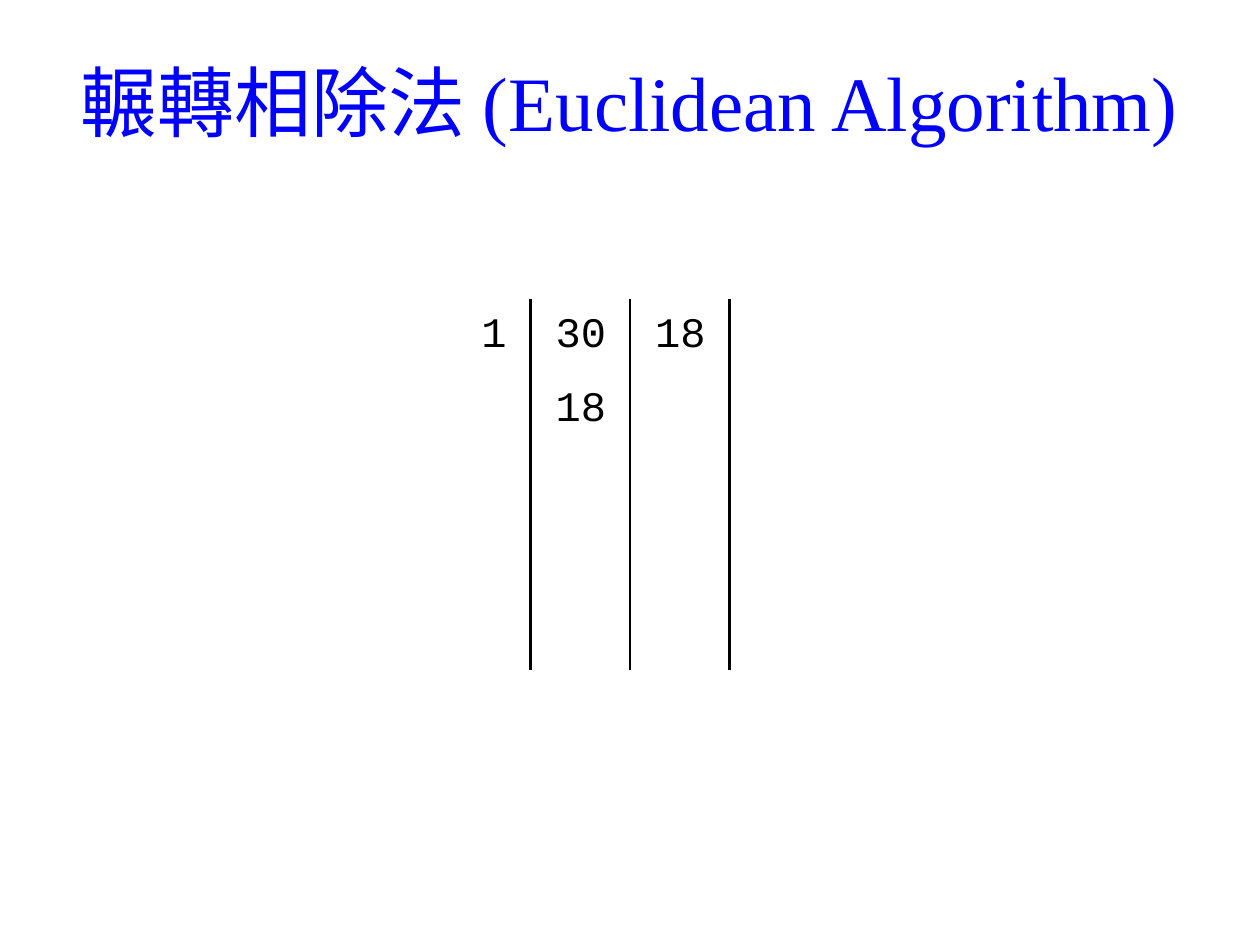
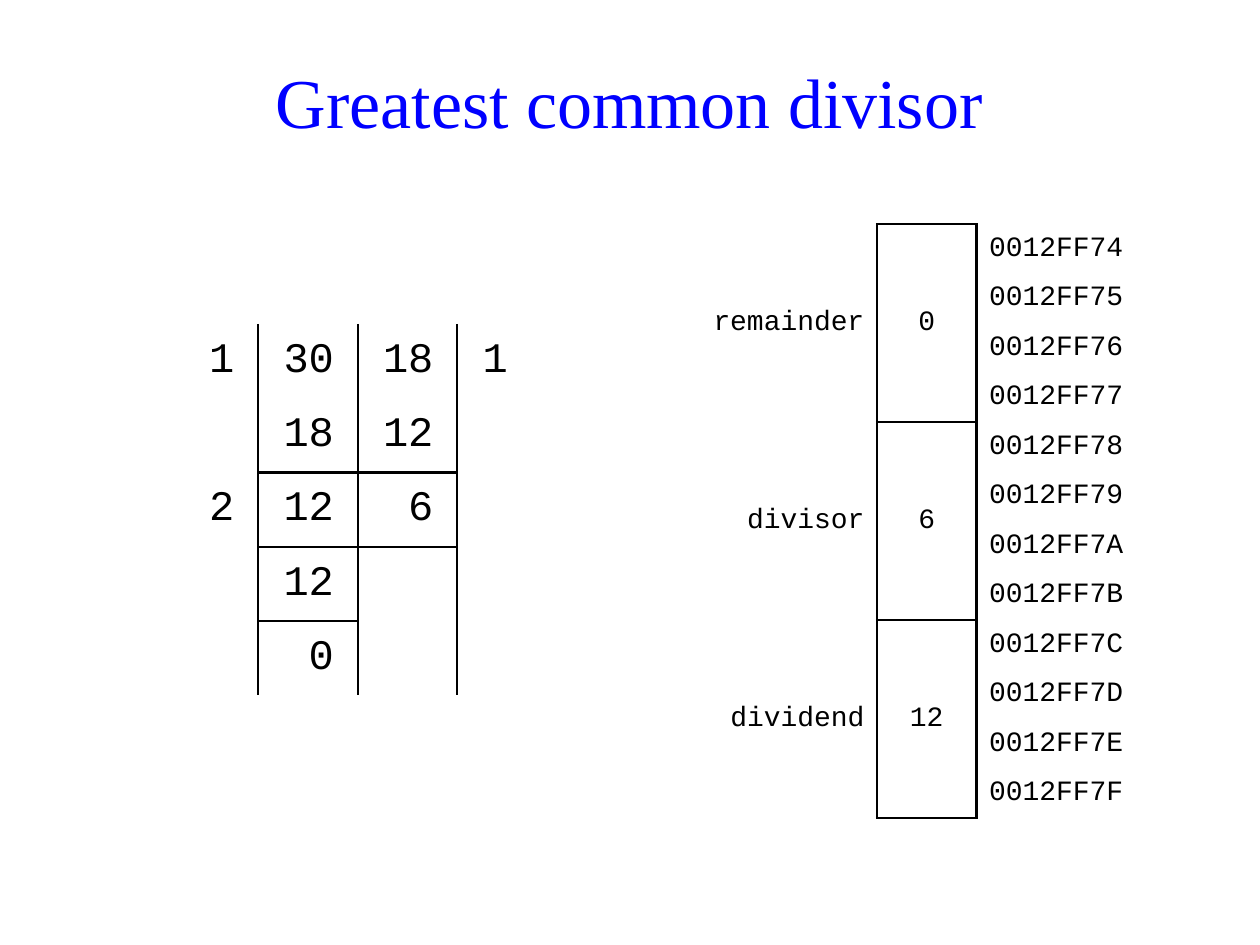
from itertools import product

from lxml.etree import SubElement
from pptx import Presentation
from pptx.dml.color import RGBColor
from pptx.enum.text import MSO_ANCHOR, PP_ALIGN
from pptx.oxml.ns import qn
from pptx.util import Inches, Pt

BLUE, BLACK = "0000FF", "000000"
SERIF, MONO, CJK = "Times New Roman", "Courier New", "Noto Sans CJK SC"
NO_STYLE = "{2D5ABB26-0587-4C30-8999-92F81FD0307C}"
NARROW, WIDE = 0.59, 0.79
STEP_H, BYTE_H = 0.59, 0.3927
INT_BYTES = 4
FIRST_ADDRESS = 0x0012FF74


def rgb(value):
    """Turn a hex string into a colour."""
    return RGBColor.from_string(value)


def add_run(p, text, size, font, color):
    """Add one run with its font set for Latin and East Asian text."""
    r = p.add_run()
    r.text = text
    r.font.size = Pt(size)
    r.font.name = font
    r.font.color.rgb = rgb(color)
    if font == CJK:
        SubElement(r.font._element, qn("a:ea"), typeface=font)


def add_title(s, size, *parts):
    """Add the centred blue title from (text, font) parts."""
    tf = s.shapes.add_textbox(Inches(0.27), Inches(0.21), Inches(9.45), Inches(1.18)).text_frame
    tf.word_wrap = True
    tf.vertical_anchor = MSO_ANCHOR.MIDDLE
    p = tf.paragraphs[0]
    p.alignment = PP_ALIGN.CENTER
    for text, font in parts:
        add_run(p, text, size, font, BLUE)


def add_grid(s, left, top, widths, rows, row_height):
    """Add an unstyled table with the given column widths and equal rows."""
    shape = s.shapes.add_table(rows, len(widths), Inches(left), Inches(top),
                               Inches(sum(widths)), Inches(rows * row_height))
    table = shape.table
    table.first_row = table.horz_banding = False
    table._tbl.tblPr.find(qn("a:tableStyleId")).text = NO_STYLE
    for column, width in zip(table.columns, widths):
        column.width = Inches(width)
    for row in table.rows:
        row.height = Inches(row_height)
    for cell in table.iter_cells():
        cell.margin_top = cell.margin_bottom = Inches(0.02)
        cell.vertical_anchor = MSO_ANCHOR.MIDDLE
    return table


def set_borders(cell, widths):
    """Draw the borders given as side to width in points, and clear the fill."""
    tc_pr = cell._tc.get_or_add_tcPr()
    for side in "LRTB":
        if side in widths:
            ln = SubElement(tc_pr, qn(f"a:ln{side}"), w=str(Pt(widths[side])))
            SubElement(SubElement(ln, qn("a:solidFill")), qn("a:srgbClr"), val=BLACK)
    cell.fill.background()


def fill_cell(cell, text, size, align):
    """Write monospaced text in a cell."""
    p = cell.text_frame.paragraphs[0]
    p.alignment = align
    add_run(p, text, size, MONO, BLACK)


def add_division(s, left, top, steps, underlined=()):
    """Add a division ladder; underlined lists (row, column) cells above a rule."""
    widths = (NARROW, WIDE, WIDE, NARROW)
    table = add_grid(s, left, top, widths, 5, STEP_H)
    sides = ("R", "LR", "LR", "L")
    for row, col in product(range(5), range(4)):
        cell = table.cell(row, col)
        cell.margin_right = Inches(0.19)
        edges = sides[col]
        edges += "B" if (row, col) in underlined else ""
        edges += "T" if (row - 1, col) in underlined else ""
        set_borders(cell, dict.fromkeys(edges, 1.5))
    for row, values in enumerate(steps):
        for col, value in enumerate(values):
            if value:
                fill_cell(table.cell(row, col), value, 24, PP_ALIGN.RIGHT)


def add_memory(s, left, top, variables):
    """Add a memory map of integer variables given as (name, value)."""
    rows = INT_BYTES * len(variables)
    table = add_grid(s, left, top, (1.57, WIDE, 1.38), rows, BYTE_H)
    for row in range(rows):
        cell = table.cell(row, 2)
        set_borders(cell, {"L": 1.5})
        fill_cell(cell, f"{FIRST_ADDRESS + row:08X}", 16, PP_ALIGN.LEFT)
    for i, (name, value) in enumerate(variables):
        first, last = i * INT_BYTES, (i + 1) * INT_BYTES - 1
        for col, text, align in ((0, name, PP_ALIGN.RIGHT), (1, value, PP_ALIGN.CENTER)):
            table.cell(first, col).merge(table.cell(last, col))
            fill_cell(table.cell(first, col), text, 16, align)
        set_borders(table.cell(first, 0), {"R": 1.5})
        set_borders(table.cell(first, 1), {
            "L": 1.5, "R": 1.5,
            "T": 1.5 if first == 0 else 1,
            "B": 1.5 if last == rows - 1 else 1})


def main():
    """Build both slides and save them."""
    prs = Presentation()
    prs.slide_width, prs.slide_height = Inches(10), Inches(7.5)
    blank = prs.slide_layouts[6]

    s = prs.slides.add_slide(blank)
    add_title(s, 44, ("輾轉相除法 ", CJK), ("(Euclidean Algorithm)", SERIF))
    add_division(s, 3.62, 2.37, [("1", "30", "18"), ("", "18")])

    s = prs.slides.add_slide(blank)
    add_title(s, 40, ("Greatest common divisor", SERIF))
    add_memory(s, 5.39, 1.78, [("remainder", "0"), ("divisor", "6"), ("dividend", "12")])
    add_division(s, 1.46, 2.57,
                 [("1", "30", "18", "1"), ("", "18", "12"), ("2", "12", "6"), ("", "12"), ("", "0")],
                 underlined={(1, 1), (1, 2), (3, 1)})
    prs.save("out.pptx")


if __name__ == "__main__":
    main()
